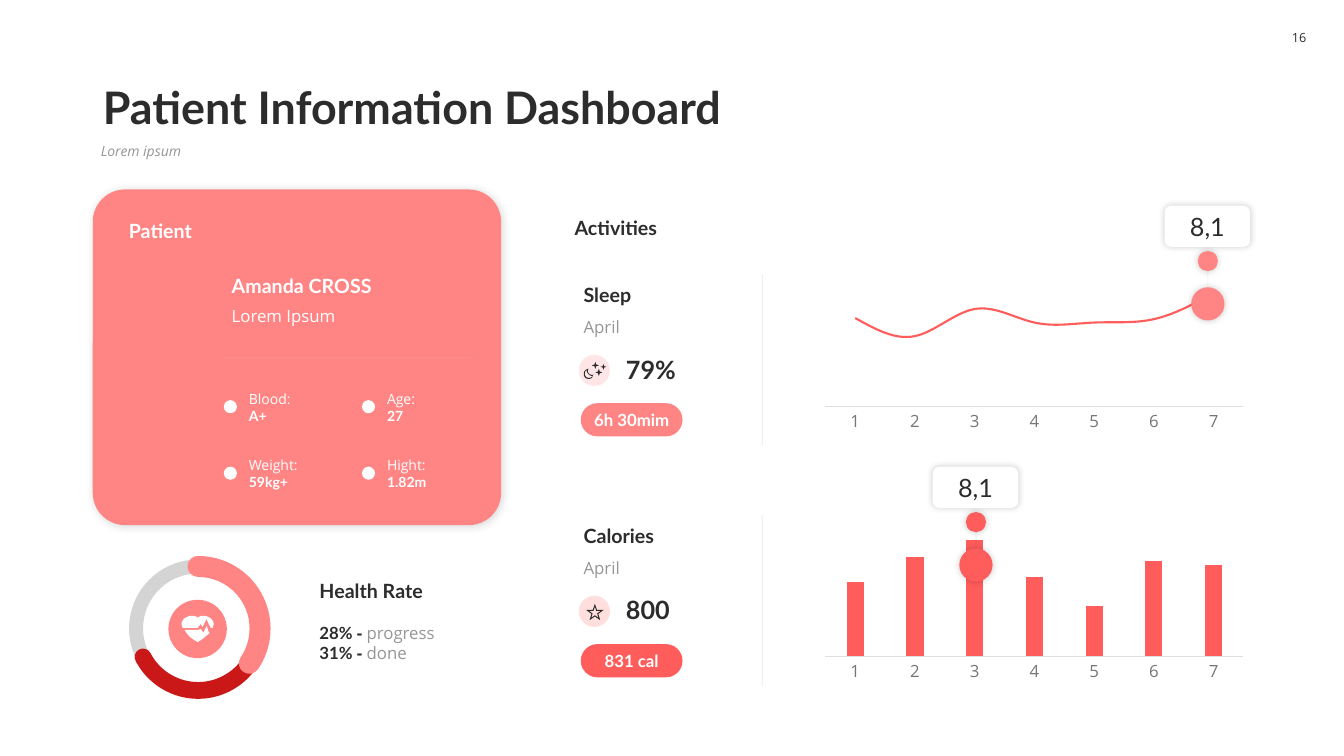
import math
from lxml import etree
from pptx import Presentation, util as u
from pptx.chart.data import CategoryChartData
from pptx.dml.color import RGBColor
from pptx.enum import chart as charts, shapes, text
from pptx.oxml.ns import qn

CORAL, RED, CRIMSON = (RGBColor.from_string(c) for c in ("FF8585", "FF5C5C", "CA1818"))
INK, GREY, WHITE = (RGBColor.from_string(c) for c in ("2C2C2C", "969696", "FFFFFF"))
AXIS, LABEL = RGBColor.from_string("DFDFDF"), RGBColor.from_string("767676")

STYLES = {
    "title": dict(name="Lato", size=32, bold=True),
    "subtitle": dict(name="Open Sans", size=10, italic=True),
    "heading": dict(name="Lato", size=14, bold=True),
    "body": dict(name="Open Sans", size=12),
    "strong": dict(name="Lato", size=12, bold=True),
    "dash": dict(name="Open Sans", size=12, bold=True),
    "figure": dict(name="Lato", size=18, bold=True),
    "callout": dict(name="Lato", size=18),
    "fact": dict(name="Open Sans", size=10),
    "fact value": dict(name="Lato", size=10, bold=True),
    "number": dict(name="Open Sans", size=9),
}
FACTS = [("Blood:", "A+"), ("Age:", "27"), ("Weight:", "59kg+"), ("Hight:", "1.82m")]
RATES = [("28% ", "progress"), ("31% ", "done")]
DAYS = list("1234567")
ACTIVITIES = [
    dict(name="Sleep", value="79%", pill="6h 30mim", color=CORAL, top=2.75, chart_top=2.75,
         kind=charts.XL_CHART_TYPE.LINE, values=(78, 62, 86, 74, 74, 77, 100),
         scale=(0, 110), callout=(11.98, 2.04)),
    dict(name="Calories", value="800", pill="831 cal", color=RED, top=5.14, chart_top=5.23,
         kind=charts.XL_CHART_TYPE.COLUMN_CLUSTERED, values=(90, 96, 100, 91, 84, 95, 94),
         scale=(72, 102), callout=(9.68, 4.63)),
]
# Outlines: a pair is a corner, six numbers are a curve
HEART = [
    [(2.05, 6.21), (2.07, 6.27), (2.08, 6.28), (2.05, 6.3, 2.02, 6.34, 1.96, 6.37),
     (1.88, 6.33, 1.85, 6.28, 1.83, 6.25), (1.97, 6.25), (1.99, 6.24), (2.02, 6.28), (2.03, 6.25)],
    [(1.9, 6.11), (1.92, 6.11, 1.95, 6.11, 1.96, 6.13), (1.98, 6.11, 2, 6.11, 2.02, 6.11),
     (2.07, 6.11, 2.12, 6.15, 2.12, 6.19), (2.12, 6.21, 2.11, 6.21, 2.11, 6.23), (2.09, 6.23),
     (2.06, 6.17), (2.05, 6.14), (2.01, 6.22), (2, 6.21), (1.99, 6.19), (1.96, 6.23), (1.81, 6.23),
     (1.81, 6.21, 1.8, 6.2, 1.8, 6.19), (1.8, 6.15, 1.85, 6.11, 1.9, 6.11)],
]
MOON = [
    [(5.83, 3.68), (5.83, 3.67, 5.83, 3.67, 5.84, 3.66), (5.83, 3.66),
     (5.8, 3.67, 5.79, 3.69, 5.79, 3.71), (5.79, 3.74, 5.81, 3.76, 5.84, 3.76),
     (5.86, 3.76, 5.88, 3.75, 5.88, 3.72), (5.89, 3.71), (5.88, 3.72, 5.88, 3.72, 5.87, 3.72),
     (5.85, 3.72, 5.83, 3.7, 5.83, 3.68)],
    [(5.84, 3.75), (5.82, 3.75, 5.8, 3.73, 5.8, 3.71), (5.8, 3.69, 5.81, 3.68, 5.82, 3.67),
     (5.82, 3.68), (5.82, 3.7, 5.85, 3.73, 5.87, 3.73), (5.88, 3.73),
     (5.87, 3.74, 5.86, 3.75, 5.84, 3.75)],
]
SPARKLES = [(5.985, 3.64, 0.03), (5.905, 3.625, 0.035), (5.94, 3.695, 0.035)]

deck = Presentation()
deck.slide_width, deck.slide_height = u.Inches(13.33), u.Inches(7.5)
page = deck.slides.add_slide(deck.slide_layouts[1])
KIND = shapes.MSO_SHAPE
ANCHOR, ALIGN = text.MSO_ANCHOR, text.PP_ALIGN
SOFT = (20, 5, 0)


def inches(*lengths):
    return [u.Inches(length) for length in lengths]


def set_alpha(holder, percent):
    for color in holder.iter(qn("a:srgbClr")):
        etree.SubElement(color, qn("a:alpha")).set("val", str(percent * 1000))


def write(box, lines, anchor=ANCHOR.TOP, align=ALIGN.LEFT, insets=(0.1, 0.05), wrap=True):
    """Fill a box with lines, each a list of (words, style, color)."""
    frame = box.text_frame
    across, down = inches(*insets)
    for key, value in dict(word_wrap=wrap, vertical_anchor=anchor, margin_left=across,
                           margin_right=across, margin_top=down, margin_bottom=down).items():
        setattr(frame, key, value)
    for index, line in enumerate(lines):
        para = frame.paragraphs[0] if index == 0 else frame.add_paragraph()
        para.alignment = align
        for words, style, color in line:
            span = para.add_run()
            span.text = words
            for key, value in STYLES[style].items():
                setattr(span.font, key, u.Pt(value) if key == "size" else value)
            span.font.color.rgb = color


def label(area, *lines, anchor=ANCHOR.BOTTOM):
    box = page.shapes.add_textbox(*inches(*area))
    write(box, lines, anchor)
    box.text_frame.auto_size = text.MSO_AUTO_SIZE.SHAPE_TO_FIT_TEXT


def draw(kind, area, fill=None, alpha=None, adjust=(), line=None, shadow=None):
    """Add a preset shape; line is (color, points), shadow is (percent, blur, distance)."""
    shape = page.shapes.add_shape(kind, *inches(*area))
    for index, value in enumerate(adjust):
        shape.adjustments[index] = value
    paint(shape, fill, line)
    if alpha:
        set_alpha(shape.element.spPr, alpha)
    if shadow:
        percent, blur, distance = shadow
        effects = shape.element.spPr.find(qn("a:effectLst"))
        outer = etree.SubElement(effects, qn("a:outerShdw"), blurRad=str(u.Pt(blur)),
                                 dist=str(u.Pt(distance)), dir=str(45 * 60000))
        etree.SubElement(outer, qn("a:srgbClr"), val="000000")
        set_alpha(outer, percent)
    return shape


def paint(shape, fill, line=None):
    shape.shadow.inherit = False
    if fill is None:
        shape.fill.background()
    else:
        shape.fill.solid()
        shape.fill.fore_color.rgb = fill
    if line:
        shape.line.color.rgb, shape.line.width = line[0], u.Pt(line[1])
    else:
        shape.line.fill.background()


def rule(*ends, color=INK):
    line = page.shapes.add_connector(shapes.MSO_CONNECTOR.STRAIGHT, *inches(*ends))
    line.line.color.rgb, line.line.width = color, u.Pt(0.5)
    set_alpha(line.element.spPr, 10)
    etree.SubElement(line.element.spPr, qn("a:effectLst"))


def flatten(outline, steps=6):
    """Turn curves into short straight steps, in thousandths of an inch."""
    points = [outline[0]]
    for part in outline[1:]:
        if len(part) == 2:
            points.append(part)
            continue
        knots = [points[-1], part[:2], part[2:4], part[4:]]
        for step in range(1, steps + 1):
            t = step / steps
            weights = [math.comb(3, i) * t ** i * (1 - t) ** (3 - i) for i in range(4)]
            points.append(tuple(sum(w * k[axis] for w, k in zip(weights, knots)) for axis in (0, 1)))
    return [(round(x * 1000), round(y * 1000)) for x, y in points]


def icon(outlines, color):
    first, *others = map(flatten, outlines)
    builder = page.shapes.build_freeform(*first[0], scale=u.Inches(1) / 1000)
    builder.add_line_segments(first[1:], close=True)
    for points in others:
        builder.move_to(*points[0])
        builder.add_line_segments(points[1:], close=True)
    paint(builder.convert_to_shape(), color)


def star(x, y, radius, tips, ratio):
    corners = []
    for index in range(2 * tips):
        reach = radius * (ratio if index % 2 else 1)
        angle = math.pi * index / tips
        corners.append((x + reach * math.sin(angle), y - reach * math.cos(angle)))
    return corners


def add_activity_chart(item):
    data = CategoryChartData()
    data.categories = DAYS
    data.add_series("Series 1", item["values"])
    chart = page.shapes.add_chart(item["kind"], *inches(8.1, item["chart_top"], 4.32, 1.58), data).chart
    chart.has_legend = chart.has_title = False
    chart.font.name, chart.font.size, chart.font.color.rgb = "Open Sans", u.Pt(12), LABEL
    days, amounts = chart.category_axis, chart.value_axis
    days.major_tick_mark = charts.XL_TICK_MARK.NONE
    days.format.line.color.rgb, days.format.line.width = AXIS, u.Pt(0.75)
    amounts.minimum_scale, amounts.maximum_scale = item["scale"]
    amounts.visible = amounts.has_major_gridlines = False
    plot = chart.plots[0]
    plot.vary_by_categories = False
    series = plot.series[0]
    if item["kind"] == charts.XL_CHART_TYPE.LINE:
        series.smooth = True
        series.marker.style = charts.XL_MARKER_STYLE.NONE
        series.format.line.color.rgb, series.format.line.width = RED, u.Pt(1.5)
    else:
        plot.gap_width = 250
        series.format.fill.solid()
        series.format.fill.fore_color.rgb = RED
    area = chart.element.find(".//" + qn("c:plotArea"))
    for old in area.findall(qn("c:layout")):
        area.remove(old)
    layout = etree.Element(qn("c:layout"))
    area.insert(0, layout)
    manual = etree.SubElement(layout, qn("c:manualLayout"))
    for key, value in dict(layoutTarget="inner", xMode="edge", yMode="edge",
                           x=0.02, y=0.03, w=0.96, h=0.78).items():
        etree.SubElement(manual, qn("c:" + key)).set("val", str(value))


def add_callout(x, top, color):
    draw(KIND.OVAL, (x - 0.165, top + 0.81, 0.33, 0.33), color, shadow=SOFT)
    rule(x, top + 0.65, x, top + 0.81)
    draw(KIND.OVAL, (x - 0.1, top + 0.45, 0.2, 0.2), color, shadow=SOFT)
    bubble = draw(KIND.ROUNDED_RECTANGLE, (x - 0.43, top, 0.85, 0.41), WHITE, shadow=SOFT)
    write(bubble, [[("8,1", "callout", INK)]], ANCHOR.MIDDLE, ALIGN.CENTER, (0.08, 0.05))


# Patient card and headings
draw(KIND.ROUNDED_RECTANGLE, (0.92, 1.88, 4.05, 3.33), CORAL, adjust=[0.096], shadow=(15, 6, 1))
title, subtitle = page.placeholders
for box, area, words, style, color, anchor in (
        (title, (0.92, 0.58, 11.5, 0.8), "Patient Information Dashboard", "title", INK, ANCHOR.BOTTOM),
        (subtitle, (0.9, 1.38, 11.52, 0.36), "Lorem ipsum", "subtitle", GREY, ANCHOR.TOP)):
    box.left, box.top, box.width, box.height = inches(*area)
    write(box, [[(words, style, color)]], anchor)
    box.text_frame.auto_size = text.MSO_AUTO_SIZE.NONE
    box.text_frame.paragraphs[0].line_spacing = 0.9
para = subtitle.text_frame.paragraphs[0]
para.space_before = u.Pt(10)
bullet = para._p.get_or_add_pPr()
bullet.set("marL", "0")
bullet.set("indent", "0")
etree.SubElement(bullet, qn("a:buNone"))
label((1.18, 2.11, 3.61, 0.34), [("Patient", "heading", WHITE)])
label((2.2, 2.66, 2.59, 0.34), [("Amanda CROSS", "heading", WHITE)])
label((2.2, 2.98, 2.59, 0.3), [("Lorem Ipsum", "body", WHITE)], anchor=ANCHOR.TOP)
number = draw(KIND.ROUNDED_RECTANGLE, (12.69, 0.18, 0.39, 0.39), WHITE)
write(number, [[("16", "number", INK)]], ANCHOR.MIDDLE, ALIGN.CENTER, (0, 0.05), wrap=False)
for index, (name, value) in enumerate(FACTS):
    row, column = divmod(index, 2)
    x, y = 2.22 + 1.37 * column, 3.82 + 0.66 * row
    draw(KIND.OVAL, (x, y + 0.15, 0.13, 0.13), WHITE)
    label((x + 0.15, y, 0.95, 0.44), [(name, "fact", WHITE)], [(value, "fact value", WHITE)],
          anchor=ANCHOR.MIDDLE)
rule(2.2, 3.55, 4.69, 3.55, color=WHITE)

# Health rate ring; arc angles are degrees times 0.6
RING = (1.35, 5.62, 1.23, 1.23)
draw(KIND.OVAL, RING, line=(INK, 10), alpha=20)
draw(KIND.OVAL, (1.67, 5.95, 0.58, 0.58), CORAL)
for start, end, color, width in ((33.6, 152.6, CRIMSON, 12), (270, 34.2, CORAL, 15)):
    arc = draw(KIND.ARC, RING, adjust=(start * 0.6, end * 0.6), line=(color, width))
    arc.element.spPr.find(qn("a:ln")).set("cap", "rnd")
icon(HEART, WHITE)
label((3.07, 5.69, 1.72, 0.34), [("Health Rate", "heading", INK)])
label((3.07, 6.13, 1.72, 0.5), *[[(rate, "strong", INK), ("- ", "dash", INK), (name, "body", GREY)]
                                 for rate, name in RATES], anchor=ANCHOR.TOP)

# Activities
label((5.6, 2.08, 3.81, 0.34), [("Activities", "heading", INK)])
for item in ACTIVITIES:
    top, color = item["top"], item["color"]
    label((5.69, top, 1.66, 0.34), [(item["name"], "heading", INK)])
    label((5.69, top + 0.34, 1.66, 0.3), [("April", "body", GREY)], anchor=ANCHOR.TOP)
    draw(KIND.OVAL, (5.74, top + 0.77, 0.31, 0.31), color, alpha=20)
    label((6.11, top + 0.71, 1.24, 0.4), [(item["value"], "figure", INK)])
    pill = draw(KIND.ROUNDED_RECTANGLE, (5.76, top + 1.25, 1.01, 0.33), color, adjust=[0.5])
    write(pill, [[(item["pill"], "strong", WHITE)]], ANCHOR.MIDDLE, ALIGN.CENTER, (0, 0))
    rule(7.56, top + 1.67, 7.56, top - 0.03)
    add_activity_chart(item)
    add_callout(*item["callout"], color)
icon(MOON, INK)
for x, y, radius in SPARKLES:
    icon([star(x, y, radius, 4, 0.35)], INK)
icon([star(5.9, 6.08, radius, 5, 0.4) for radius in (0.09, 0.06)], INK)

deck.save("out.pptx")
